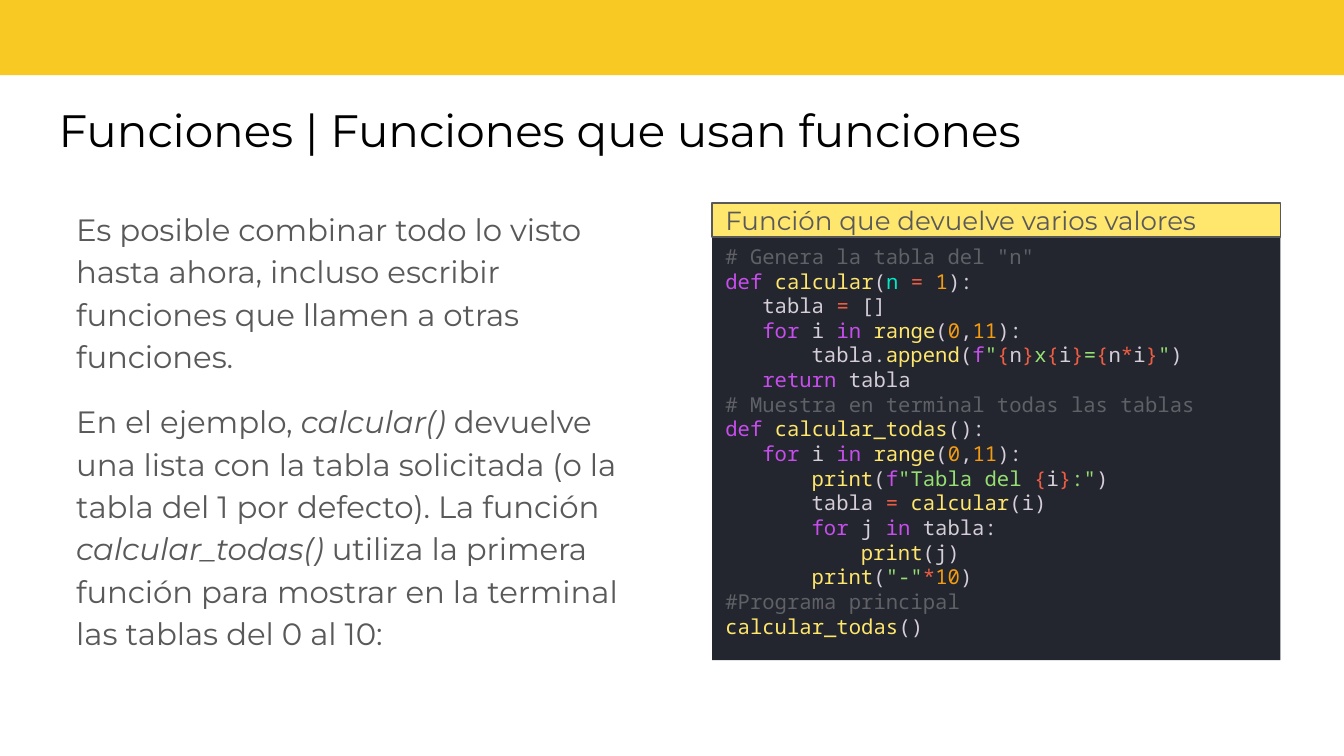
from pptx import Presentation
from pptx.dml.color import RGBColor
from pptx.enum.shapes import MSO_SHAPE as Shape
from pptx.enum.text import MSO_ANCHOR as Anchor, PP_ALIGN as Align
from pptx.util import Cm, Pt

BAND = RGBColor(0xF8, 0xC8, 0x23)
BLACK = RGBColor(0x00, 0x00, 0x00)
GRAY = RGBColor(0x59, 0x59, 0x59)
PANEL = RGBColor(0x23, 0x26, 0x2E)
COMMENT = RGBColor(0x5F, 0x61, 0x67)
KEYWORD = RGBColor(0xC7, 0x4D, 0xED)
PLAIN = RGBColor(0xD5, 0xCE, 0xD9)
YELLOW = RGBColor(0xFF, 0xE6, 0x6D)
ARGUMENT = RGBColor(0x00, 0xE8, 0xC6)
OPERATOR = RGBColor(0xEE, 0x5D, 0x43)
NUMBER = RGBColor(0xF3, 0x9C, 0x12)
STRING = RGBColor(0x96, 0xE0, 0x72)

TEXT_FONT = "Montserrat"
CODE_FONT = "Noto Sans Mono"
CODE_SIZE = 11
CODE_COLUMN = Pt(CODE_SIZE * 0.6)

EXPLANATION = [
    [("Es posible combinar todo lo visto hasta ahora, incluso escribir "
      "funciones que llamen a otras funciones.", False)],
    [("En el ejemplo, ", False),
     ("calcular()", True),
     (" devuelve una lista con la tabla solicitada (o la tabla del 1 por "
      "defecto). La función ", False),
     ("calcular_todas() ", True),
     ("utiliza la primera función para mostrar en la terminal las tablas "
      "del 0 al 10:", False)],
]


def braces(*tokens):
    return [("{", OPERATOR), *tokens, ("}", OPERATOR)]


LOOP = [("for", KEYWORD), (" i ", PLAIN), ("in", KEYWORD), (" ", PLAIN),
        ("range", YELLOW), ("(", PLAIN), ("0", NUMBER), (",", PLAIN),
        ("11", NUMBER), ("):", PLAIN)]

CODE = [
    (0, [('# Genera la tabla del "n"', COMMENT)]),
    (0, [("def", KEYWORD), (" ", PLAIN), ("calcular", YELLOW), ("(", PLAIN),
         ("n", ARGUMENT), (" ", PLAIN), ("=", OPERATOR), (" ", PLAIN),
         ("1", NUMBER), ("):", PLAIN)]),
    (3, [("tabla ", PLAIN), ("=", OPERATOR), (" []", PLAIN)]),
    (3, LOOP),
    (7, [("tabla.", PLAIN), ("append", YELLOW), ("(", PLAIN), ("f", KEYWORD),
         ('"', STRING), *braces(("n", PLAIN)), ("x", STRING),
         *braces(("i", PLAIN)), ("=", STRING),
         *braces(("n", PLAIN), ("*", OPERATOR), ("i", PLAIN)),
         ('"', STRING), (")", PLAIN)]),
    (3, [("return", KEYWORD), (" tabla", PLAIN)]),
    (0, [("# Muestra en terminal todas las tablas", COMMENT)]),
    (0, [("def", KEYWORD), (" ", PLAIN), ("calcular_todas", YELLOW),
         ("():", PLAIN)]),
    (3, LOOP),
    (7, [("print", YELLOW), ("(", PLAIN), ("f", KEYWORD),
         ('"Tabla del ', STRING), *braces(("i", PLAIN)), (':"', STRING),
         (")", PLAIN)]),
    (7, [("tabla ", PLAIN), ("=", OPERATOR), (" ", PLAIN),
         ("calcular", YELLOW), ("(i)", PLAIN)]),
    (7, [("for", KEYWORD), (" j ", PLAIN), ("in", KEYWORD),
         (" tabla:", PLAIN)]),
    (11, [("print", YELLOW), ("(j)", PLAIN)]),
    (7, [("print", YELLOW), ("(", PLAIN), ('"-"', STRING), ("*", OPERATOR),
         ("10", NUMBER), (")", PLAIN)]),
    (0, [("#Programa principal", COMMENT)]),
    (0, [("calcular_todas", YELLOW), ("()", PLAIN)]),
]


def add_run(paragraph, text, font, size, color, italic=False):
    run = paragraph.add_run()
    run.text = text
    run.font.name = font
    run.font.size = Pt(size)
    run.font.color.rgb = color
    run.font.italic = italic


def add_paragraphs(frame, count):
    return [frame.paragraphs[0]] + [frame.add_paragraph() for _ in range(count - 1)]


def set_frame(shape, anchor, vertical_inset):
    frame = shape.text_frame
    frame.word_wrap = True
    frame.vertical_anchor = anchor
    frame.margin_left = frame.margin_right = Cm(0.25)
    frame.margin_top = frame.margin_bottom = Cm(vertical_inset)
    return frame


def add_rectangle(slide, box, fill):
    shape = slide.shapes.add_shape(Shape.RECTANGLE, *map(Cm, box))
    shape.shadow.inherit = False
    shape.fill.solid()
    shape.fill.fore_color.rgb = fill
    shape.line.fill.background()
    return shape


def place_title(slide, box, text):
    title = slide.shapes.title
    title.left, title.top, title.width, title.height = map(Cm, box)
    paragraph = set_frame(title, Anchor.MIDDLE, 0.25).paragraphs[0]
    paragraph.alignment = Align.LEFT
    add_run(paragraph, text, TEXT_FONT, 24.3, BLACK)


def add_explanation(slide, box):
    frame = set_frame(slide.shapes.add_textbox(*map(Cm, box)), Anchor.TOP, 0.25)
    paragraphs = add_paragraphs(frame, len(EXPLANATION))
    for index, (paragraph, runs) in enumerate(zip(paragraphs, EXPLANATION)):
        paragraph.line_spacing = 1.15
        paragraph.space_before = Pt(12 if index else 0)
        for text, italic in runs:
            add_run(paragraph, text, TEXT_FONT, 16.5, GRAY, italic)


def add_code_panel(slide, box, heading):
    left, top, width, height = box
    header_height = 0.64
    panel = add_rectangle(
        slide, (left, top + header_height, width, height - header_height), PANEL)
    frame = set_frame(panel, Anchor.TOP, 0.13)
    for paragraph, (columns, tokens) in zip(add_paragraphs(frame, len(CODE)), CODE):
        paragraph.alignment = Align.LEFT
        paragraph._p.get_or_add_pPr().set("marL", str(columns * CODE_COLUMN))
        for text, color in tokens:
            add_run(paragraph, text, CODE_FONT, CODE_SIZE, color)

    header = add_rectangle(slide, (left, top, width, header_height), YELLOW)
    header.line.color.rgb = GRAY
    header.line.width = Pt(0.75)
    paragraph = set_frame(header, Anchor.MIDDLE, 0.13).paragraphs[0]
    paragraph.alignment = Align.LEFT
    add_run(paragraph, heading, TEXT_FONT, 14, GRAY)


def main():
    presentation = Presentation()
    presentation.slide_width, presentation.slide_height = Cm(25.4), Cm(14.29)
    slide = presentation.slides.add_slide(presentation.slide_layouts[5])
    add_rectangle(slide, (0, 0, 25.4, 1.42), BAND)
    place_title(slide, (0.86, 1.65, 23.62, 1.6),
                "Funciones | Funciones que usan funciones")
    add_explanation(slide, (1.19, 3.63, 11.23, 9.14))
    add_code_panel(slide, (13.46, 3.84, 10.74, 8.64),
                   "Función que devuelve varios valores")
    presentation.save("out.pptx")


if __name__ == "__main__":
    main()
